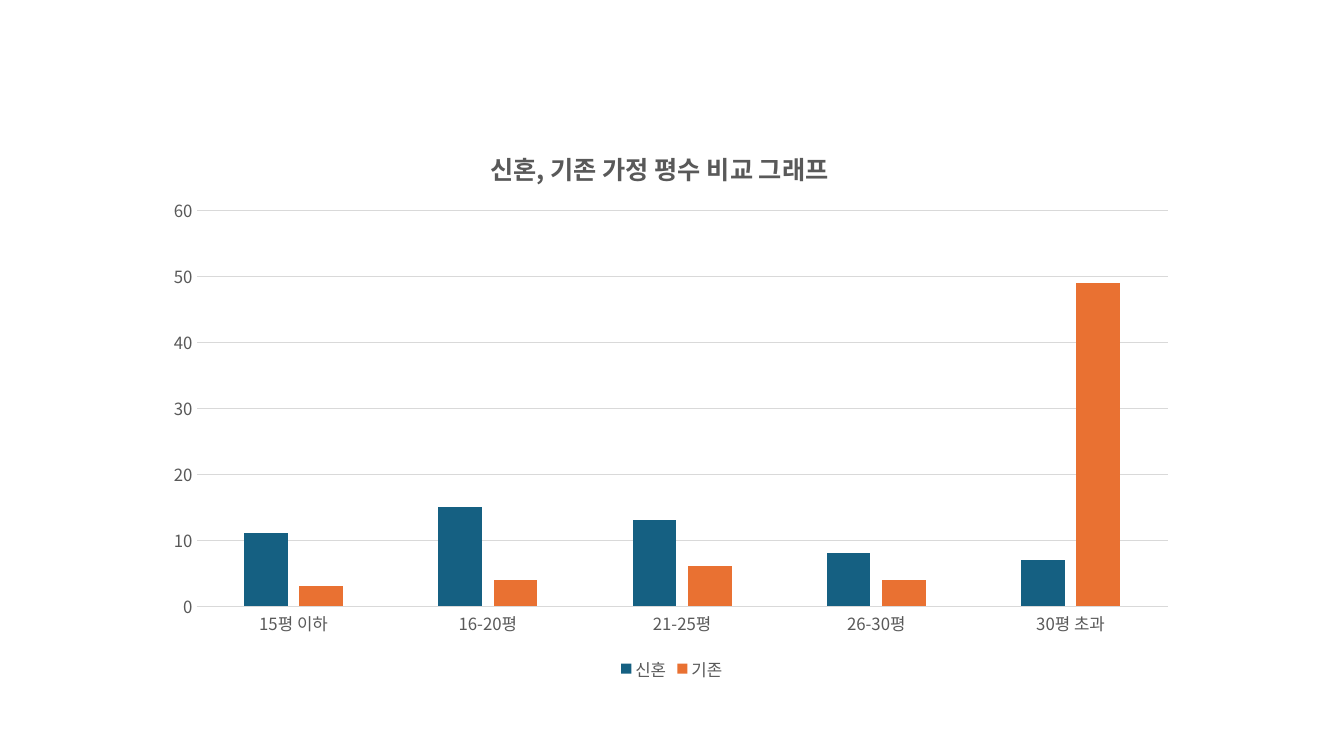
"""Build a slide with a column chart comparing home sizes of two household groups."""
from lxml import etree
from pptx import Presentation
from pptx import util as u
from pptx.chart.data import CategoryChartData
from pptx.dml.color import RGBColor
from pptx.enum import chart as kinds
from pptx.oxml import parse_xml
from pptx.oxml.ns import nsdecls, qn

TITLE = "신혼, 기존 가정 평수 비교 그래프"
SIZES = ["15평 이하", "16-20평", "21-25평", "26-30평", "30평 초과"]
HOMES = [
    ("신혼", [11, 15, 13, 8, 7], "156082"),
    ("기존", [3, 4, 6, 4, 49], "E97132"),
]
FONT = "Noto Sans CJK KR"
GREY, RULE = "595959", "D9D9D9"
CHART_BOX = [u.Cm(n) for n in (3.91, 3.02, 26.04, 14.25)]
TITLE_SPOT = {"x": 0.32, "y": 0.04}
PLOT_SPOT = {"x": 0.04, "y": 0.16, "w": 0.94, "h": 0.7}


def color(code):
    return RGBColor.from_string(code)


def style_font(font, size, bold=False):
    font.name, font.size, font.bold = FONT, u.Pt(size), bold
    font.color.rgb = color(GREY)


def style_line(line):
    line.color.rgb = color(RULE)
    line.width = u.Pt(0.75)


def manual_layout(spot, inner=False):
    target = '<c:layoutTarget val="inner"/>' if inner else ""
    modes = "".join(f'<c:{key}Mode val="edge"/>' for key in "xy")
    places = "".join(f'<c:{key} val="{value}"/>' for key, value in spot.items())
    return parse_xml(
        f'<c:layout {nsdecls("c")}><c:manualLayout>{target}{modes}{places}'
        "</c:manualLayout></c:layout>"
    )


def place(element, layout, before):
    for old in element.findall(qn("c:layout")):
        element.remove(old)
    element.find(qn(before)).addprevious(layout)


def add_home_chart(page):
    data = CategoryChartData()
    data.categories = SIZES
    for name, counts, _ in HOMES:
        data.add_series(name, counts)
    chart = page.shapes.add_chart(
        kinds.XL_CHART_TYPE.COLUMN_CLUSTERED, *CHART_BOX, data
    ).chart
    style_font(chart.font, 12)

    chart.has_title = True
    title_frame = chart.chart_title.text_frame
    title_frame.text = TITLE
    style_font(title_frame.paragraphs[0].runs[0].font, 18, True)
    chart.chart_title.include_in_layout = False

    plot = chart.plots[0]
    plot.gap_width, plot.overlap, plot.vary_by_categories = 219, -27, False
    for series, (_, _, fill) in zip(plot.series, HOMES):
        series.format.fill.solid()
        series.format.fill.fore_color.rgb = color(fill)

    for axis in (chart.category_axis, chart.value_axis):
        axis.major_tick_mark = axis.minor_tick_mark = kinds.XL_TICK_MARK.NONE
        style_font(axis.tick_labels.font, 12)
    style_line(chart.category_axis.format.line)
    value_axis = chart.value_axis
    value_axis.minimum_scale, value_axis.maximum_scale = 0, 60
    value_axis.major_unit = 10
    value_axis.format.line.fill.background()
    style_line(value_axis.major_gridlines.format.line)

    chart.has_legend = True
    chart.legend.position = kinds.XL_LEGEND_POSITION.BOTTOM
    chart.legend.include_in_layout = False
    style_font(chart.legend.font, 12)

    root = chart.element
    place(root.find(".//" + qn("c:title")), manual_layout(TITLE_SPOT), "c:overlay")
    place(root.find(".//" + qn("c:plotArea")), manual_layout(PLOT_SPOT, True), "c:barChart")
    for latin in list(root.iter(qn("a:latin"))):
        east_asian = etree.Element(qn("a:ea"), typeface=FONT)
        latin.addnext(east_asian)


def main():
    deck = Presentation()
    deck.slide_width, deck.slide_height = u.Cm(33.87), u.Cm(19.05)
    page = deck.slides.add_slide(deck.slide_layouts[6])
    add_home_chart(page)
    deck.save("out.pptx")


if __name__ == "__main__":
    main()
